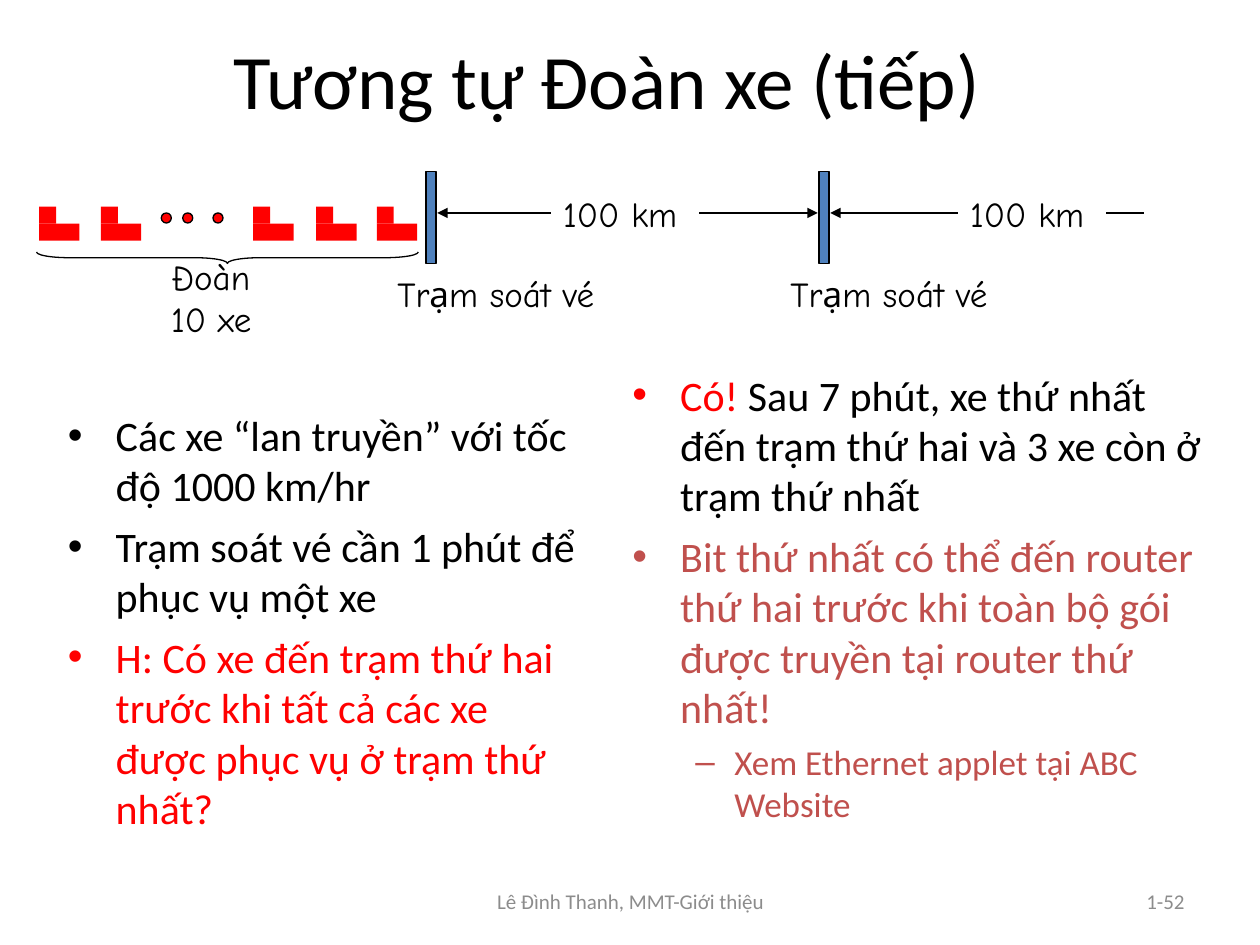
"""Builds the slide on the car caravan analogy with its toll booth diagram."""
from lxml.etree import SubElement
from pptx import Presentation
from pptx.dml.color import RGBColor
from pptx.enum.shapes import MSO_CONNECTOR as Connector, MSO_SHAPE as Shape
from pptx.enum.text import MSO_ANCHOR as Anchor, PP_ALIGN as Align
from pptx.oxml.ns import qn
from pptx.util import Inches, Pt

BLACK, RED, BLUE, BRICK, GREY = "000000", "FF0000", "4F81BD", "C0504D", "8C8C8C"
BODY, HAND = "Calibri", "Comic Neue"


def colour(code):
    return RGBColor.from_string(code)


class Board:
    """Draws on one slide laid out as 100 columns by 75 rows."""

    def __init__(self, deck):
        self.slide = deck.slides.add_slide(deck.slide_layouts[6])
        self.cell_width = deck.slide_width / 100
        self.cell_height = deck.slide_height / 75

    def place(self, column, row):
        return round(column * self.cell_width), round(row * self.cell_height)

    def style(self, run, size, font, code):
        run.font.size = Pt(size)
        run.font.name = font
        run.font.color.rgb = colour(code)

    def outline(self, line, code):
        line.color.rgb = colour(code)
        line.width = Pt(0.75)

    def frame(self, left, top, width, height, anchor=Anchor.TOP, wrap=True):
        box = self.slide.shapes.add_textbox(*self.place(left, top), *self.place(width, height))
        box.text_frame.word_wrap = wrap
        box.text_frame.vertical_anchor = anchor
        return box.text_frame

    def text(self, words, area, size, font=BODY, code=BLACK, align=Align.LEFT,
             anchor=Anchor.TOP, wrap=True):
        frame = self.frame(*area, anchor, wrap)
        frame.text = words
        for paragraph in frame.paragraphs:
            paragraph.alignment = align
            for run in paragraph.runs:
                self.style(run, size, font, code)

    def bullets(self, items, area):
        frame = self.frame(*area)
        levels = [(24, "•", 0.38, 0.38), (20, "–", 0.81, 0.31)]
        for number, (level, pieces) in enumerate(items):
            size, mark, margin, hang = levels[level]
            paragraph = frame.add_paragraph() if number else frame.paragraphs[0]
            paragraph.level = level
            paragraph.space_before = Pt(round(size * 0.24, 1))
            for words, code in pieces:
                run = paragraph.add_run()
                run.text = words
                self.style(run, size, BODY, code)
            properties = paragraph._p.get_or_add_pPr()
            properties.set("marL", str(Inches(margin)))
            properties.set("indent", str(-Inches(hang)))
            SubElement(properties, qn("a:buFont")).set("typeface", "Arial")
            SubElement(properties, qn("a:buChar")).set("char", mark)

    def shape(self, kind, left, top, width, height, fill=None, line=None):
        form = self.slide.shapes.add_shape(
            kind, *self.place(left, top), *self.place(width, height))
        form.shadow.inherit = False
        if fill:
            form.fill.solid()
            form.fill.fore_color.rgb = colour(fill)
        else:
            form.fill.background()
        if line:
            self.outline(form.line, line)
        else:
            form.line.fill.background()
        return form

    def line(self, start, end, row, arrow=True):
        link = self.slide.shapes.add_connector(
            Connector.STRAIGHT, *self.place(start, row), *self.place(end, row))
        self.outline(link.line, BLACK)
        if arrow:
            SubElement(link.line._get_or_add_ln(), qn("a:tailEnd")).set("type", "triangle")
        SubElement(link._element.spPr, qn("a:effectLst"))


deck = Presentation()
deck.slide_width, deck.slide_height = Inches(10), Inches(7.5)
board = Board(deck)

board.text("Tương tự Đoàn xe (tiếp)", (5.7, 0, 85, 12.5), 44,
           align=Align.CENTER, anchor=Anchor.MIDDLE)
board.text("Lê Đình Thanh, MMT-Giới thiệu", (34.2, 69.5, 31.7, 4), 12, code=GREY,
           align=Align.CENTER, anchor=Anchor.MIDDLE)
board.text("1-52", (71.7, 69.5, 23.3, 4), 12, code=GREY,
           align=Align.RIGHT, anchor=Anchor.MIDDLE)

board.bullets([
    (0, [("Các xe “lan truyền” với tốc độ 1000 km/hr", BLACK)]),
    (0, [("Trạm soát vé cần 1 phút để phục vụ một xe", BLACK)]),
    (0, [("H: Có xe đến trạm thứ hai trước khi tất cả các xe "
          "được phục vụ ở trạm thứ nhất?", RED)]),
], (4.4, 32, 43.1, 36.3))
board.bullets([
    (0, [("Có!", RED),
         (" Sau 7 phút, xe thứ nhất đến trạm thứ hai và 3 xe còn ở trạm thứ nhất", BLACK)]),
    (0, [("Bit thứ nhất có thể đến router thứ hai trước khi toàn bộ gói "
          "được truyền tại router thứ nhất!", BRICK)]),
    (1, [("Xem Ethernet applet tại ABC Website", BRICK)]),
], (49.2, 28.8, 47.8, 36.8))

for booth in (33.8, 65):
    board.shape(Shape.RECTANGLE, booth, 13.6, 0.8, 7.3, BLUE, BLACK)
    board.text("Trạm soát vé", (booth - 3.9, 21.1, 18.9, 4.4), 20, HAND,
               align=Align.CENTER, wrap=False)

for car in (3.1, 8, 20.1, 25.1, 29.9):
    board.shape(Shape.RECTANGLE, car, 17.75, 3.2, 1.35, RED)
    board.shape(Shape.RECTANGLE, car, 16.4, 1.35, 1.35, RED)
for dot in (12.8, 14.5, 16.9):
    board.shape(Shape.OVAL, dot, 16.9, 0.8, 0.8, RED, BLACK)

brace = board.shape(Shape.LEFT_BRACE, 17.6, 5.3, 0.9, 30.3, line=BLACK)
brace.rotation = 270
brace.adjustments[0], brace.adjustments[1] = 2.9, 0.5
board.text("Đoàn\n10 xe", (12.6, 19.8, 9.3, 7.7), 20, HAND)

for distance in (43.7, 76):
    board.text("100 km", (distance, 14.8, 11.8, 4.3), 20, HAND)
for start, end, arrow in ((43.7, 34.7, True), (55.5, 64.9, True),
                          (76, 65.9, True), (87.8, 90.8, False)):
    board.line(start, end, 16.9, arrow)

deck.save("out.pptx")
